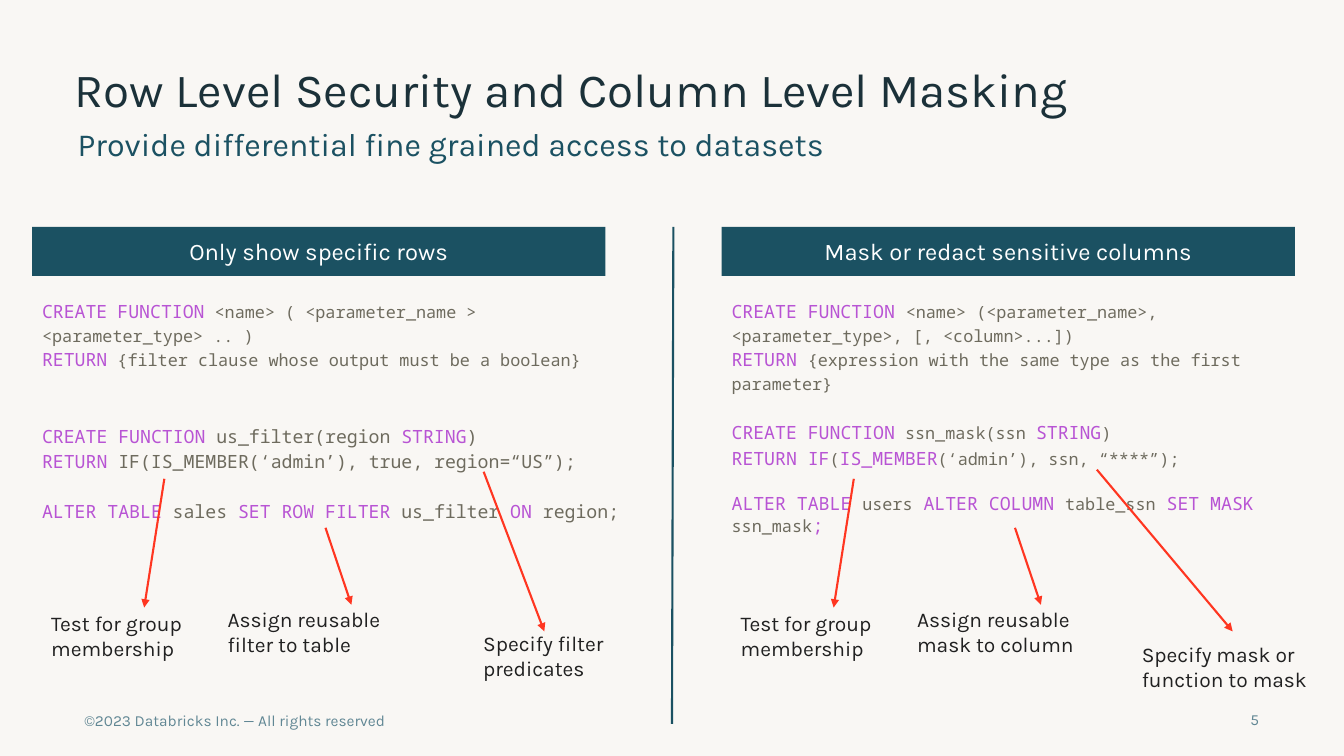
from dataclasses import dataclass

from lxml.etree import SubElement
from pptx import Presentation
from pptx.dml.color import RGBColor
from pptx.enum.shapes import MSO_CONNECTOR, MSO_SHAPE
from pptx.enum.text import MSO_ANCHOR, PP_ALIGN
from pptx.oxml.ns import qn
from pptx.slide import Slide
from pptx.text.text import TextFrame
from pptx.util import Pt

COLORS = {
    "background": "F9F7F4",
    "title": "1B3139",
    "teal": "1B5162",
    "footer": "618794",
    "note": "212121",
    "white": "FFFFFF",
    "arrow": "FF3621",
    "keyword": "B854D4",
    "code": "6E6B5E",
}
TEXT_FONT = "Karla"
CODE_FONT = "Noto Sans Mono"
KEYWORD_SIZE = 13


@dataclass
class CodeLine:
    """A line of code; the parts between bars are keywords."""
    text: str
    spacing: float = 1.15
    space_before: float = 0


@dataclass
class Note:
    """A remark and the arrow that points to it, relative to the panel's left."""
    text: str
    left: float
    top: float
    width: float
    start: tuple[float, float]
    end: tuple[float, float]


@dataclass
class Panel:
    left: float
    heading: str
    syntax: list[CodeLine]
    example: list[CodeLine]
    example_size: float
    notes: list[Note]


PANELS = [
    Panel(
        23,
        "Only show specific rows",
        [
            CodeLine("|CREATE| |FUNCTION| <name> ( <parameter_name > <parameter_type> .. )"),
            CodeLine("|RETURN| {filter clause whose output must be a boolean}"),
        ],
        [
            CodeLine("|CREATE FUNCTION |us_filter(region |STRING|)"),
            CodeLine("|RETURN |IF(IS_MEMBER(‘admin’), true, region=“US”);"),
            CodeLine("|ALTER TABLE| sales |SET ROW FILTER| us_filter |ON| region;",
                     space_before=18),
        ],
        13,
        [
            Note("Test for group membership", 6.5, 429, 130, (94.4, 342), (80, 434)),
            Note("Assign reusable filter to table", 132.5, 426, 156, (209.5, 377), (228, 432)),
            Note("Specify filter predicates", 315, 443, 151, (322.5, 337), (365.8, 451)),
        ],
    ),
    Panel(
        515.5,
        "Mask or redact sensitive columns",
        [
            CodeLine("|CREATE FUNCTION |<name> (<parameter_name>, <parameter_type>, [, <column>...])"),
            CodeLine("|RETURN |{expression with the same type as the first parameter}"),
        ],
        [
            CodeLine("|CREATE FUNCTION| ssn_mask(ssn |STRING|)", spacing=1),
            CodeLine("|RETURN IF|(|IS_MEMBER|(‘admin’), ssn, “****”);"),
            CodeLine("|ALTER TABLE |users| ALTER COLUMN |table_ssn| SET MASK |ssn_mask|;|",
                     spacing=1, space_before=17),
        ],
        12,
        [
            Note("Test for group membership", 6.5, 429, 130, (94.4, 342), (80, 434)),
            Note("Assign reusable mask to column", 132.5, 426, 156, (209.5, 377), (228, 432)),
            Note("Specify mask or function to mask", 293, 451, 151, (268, 335.5), (365, 451)),
        ],
    ),
]


def rgb(name: str) -> RGBColor:
    return RGBColor.from_string(COLORS[name])


def set_frame(frame: TextFrame, inset: float, anchor: MSO_ANCHOR = MSO_ANCHOR.TOP) -> None:
    frame.word_wrap = True
    frame.vertical_anchor = anchor
    frame.margin_left = frame.margin_right = Pt(inset)
    frame.margin_top = frame.margin_bottom = Pt(inset)


def add_run(paragraph, text: str, *, size: float, color: str, font: str = TEXT_FONT) -> None:
    run = paragraph.add_run()
    run.text = text
    run.font.name = font
    run.font.size = Pt(size)
    run.font.color.rgb = rgb(color)


def write_text(frame: TextFrame, text: str, *, size: float, color: str,
               align: PP_ALIGN = PP_ALIGN.LEFT, spacing: float = 1) -> None:
    paragraph = frame.paragraphs[0]
    paragraph.alignment = align
    paragraph.line_spacing = spacing
    add_run(paragraph, text, size=size, color=color)


def add_frame(slide: Slide, left: float, top: float, width: float, height: float,
              inset: float = 7.2) -> TextFrame:
    frame = slide.shapes.add_textbox(Pt(left), Pt(top), Pt(width), Pt(height)).text_frame
    set_frame(frame, inset)
    return frame


def write_code(frame: TextFrame, lines: list[CodeLine], plain_size: float) -> None:
    for number, line in enumerate(lines):
        paragraph = frame.add_paragraph() if number else frame.paragraphs[0]
        paragraph.line_spacing = line.spacing
        paragraph.space_before = Pt(line.space_before)
        for index, part in enumerate(line.text.split("|")):
            is_keyword = index % 2 == 1
            if part:
                add_run(paragraph, part, font=CODE_FONT,
                        size=KEYWORD_SIZE if is_keyword else plain_size,
                        color="keyword" if is_keyword else "code")


def add_line(slide: Slide, start: tuple[float, float], end: tuple[float, float],
             color: str, arrow: bool = False) -> None:
    connector = slide.shapes.add_connector(
        MSO_CONNECTOR.STRAIGHT, Pt(start[0]), Pt(start[1]), Pt(end[0]), Pt(end[1]))
    connector.line.color.rgb = rgb(color)
    connector.line.width = Pt(1.5)
    if arrow:
        SubElement(connector.line._get_or_add_ln(), qn("a:tailEnd"), type="triangle")
    SubElement(connector._element.spPr, qn("a:effectLst"))


def add_heading(slide: Slide, left: float, text: str) -> None:
    shape = slide.shapes.add_shape(MSO_SHAPE.RECTANGLE, Pt(left), Pt(162), Pt(409.5), Pt(35))
    shape.shadow.inherit = False
    shape.fill.solid()
    shape.fill.fore_color.rgb = rgb("teal")
    shape.line.fill.background()
    set_frame(shape.text_frame, 7.2)
    write_text(shape.text_frame, text, size=17, color="white", align=PP_ALIGN.CENTER)


def add_panel(slide: Slide, panel: Panel) -> None:
    add_heading(slide, panel.left, panel.heading)
    write_code(add_frame(slide, panel.left, 205, 402, 82), panel.syntax, 12)
    write_code(add_frame(slide, panel.left, 294, 436, 85), panel.example, panel.example_size)
    for note in panel.notes:
        frame = add_frame(slide, panel.left + note.left, note.top, note.width, 51)
        write_text(frame, note.text, size=15, color="note")
        add_line(slide, (panel.left + note.start[0], note.start[1]),
                 (panel.left + note.end[0], note.end[1]), "arrow", arrow=True)


def add_title(slide: Slide, text: str) -> None:
    title = slide.shapes.title
    title.left, title.top, title.width, title.height = Pt(53.5), Pt(42.5), Pt(885), Pt(46)
    set_frame(title.text_frame, 0, MSO_ANCHOR.MIDDLE)
    write_text(title.text_frame, text, size=34, color="title", spacing=0.9)


def main() -> None:
    presentation = Presentation()
    presentation.slide_width, presentation.slide_height = Pt(960), Pt(540)
    slide = presentation.slides.add_slide(presentation.slide_layouts[5])
    slide.background.fill.solid()
    slide.background.fill.fore_color.rgb = rgb("background")

    add_title(slide, "Row Level Security and Column Level Masking")
    write_text(add_frame(slide, 55.5, 92, 852, 46, inset=0),
               "Provide differential fine grained access to datasets",
               size=23, color="teal", spacing=0.9)
    for panel in PANELS:
        add_panel(slide, panel)
    add_line(slide, (481, 162), (480, 517), "teal")
    write_text(add_frame(slide, 51, 501, 423, 32, inset=9.2),
               "©2023 Databricks Inc. — All rights reserved", size=11, color="footer")
    write_text(add_frame(slide, 856, 500.5, 52.5, 39, inset=9.2), "5",
               size=11, color="footer", align=PP_ALIGN.RIGHT)
    presentation.save("out.pptx")


if __name__ == "__main__":
    main()
